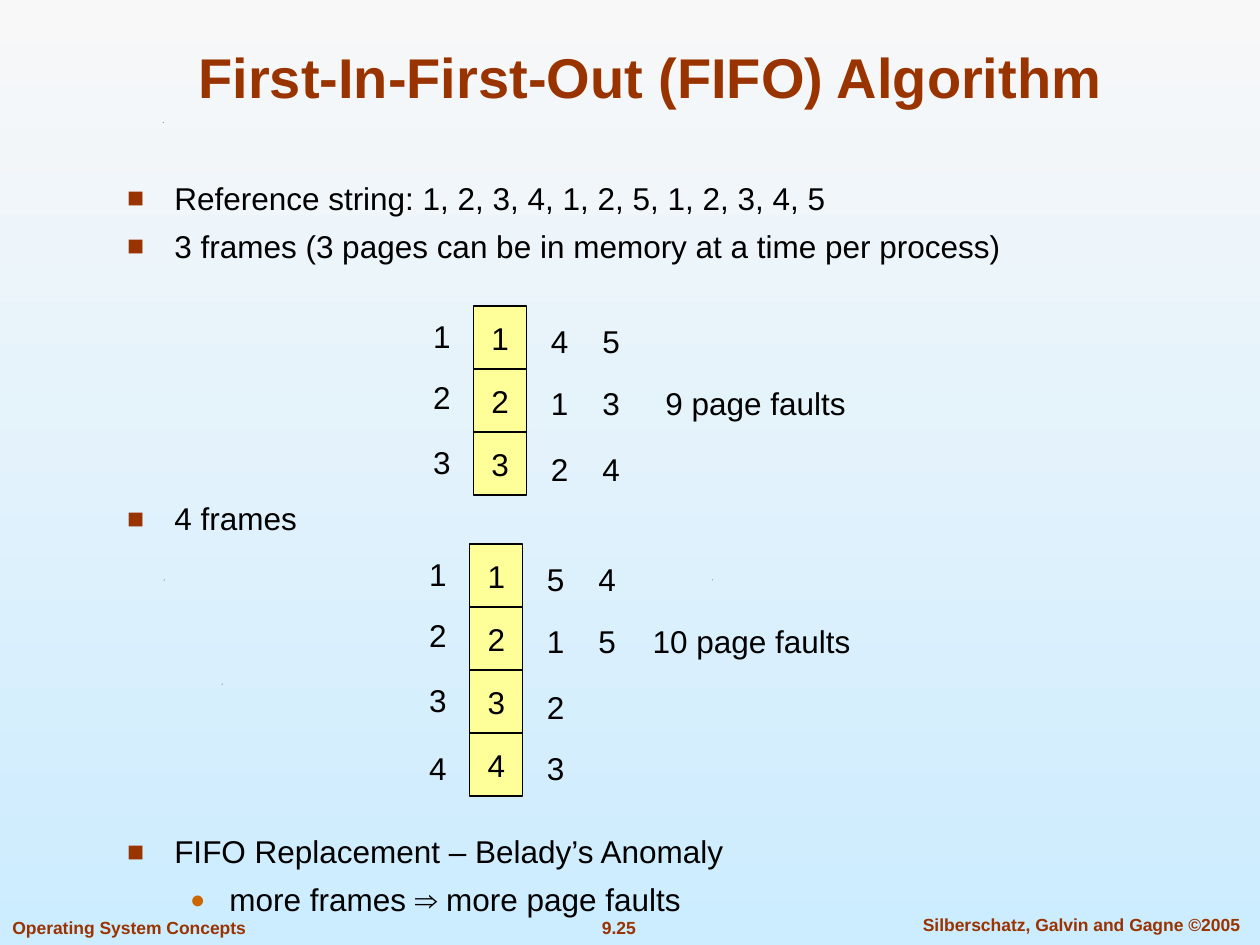
from dataclasses import dataclass

from lxml.etree import SubElement
from pptx import Presentation
from pptx.dml.color import RGBColor
from pptx.enum.shapes import MSO_SHAPE
from pptx.enum.text import MSO_ANCHOR, MSO_AUTO_SIZE, PP_ALIGN
from pptx.oxml.ns import qn
from pptx.util import Cm, Pt


@dataclass(frozen=True)
class Theme:
    font: str = "Arial"
    ink: RGBColor = RGBColor.from_string("000000")
    rust: RGBColor = RGBColor.from_string("993300")
    orange: RGBColor = RGBColor.from_string("CC6600")
    frame: RGBColor = RGBColor.from_string("FFFF99")
    sky_top: RGBColor = RGBColor.from_string("F8F8F8")
    sky_bottom: RGBColor = RGBColor.from_string("CCECFF")
    title_size: int = 32
    body_size: int = 18
    footer_size: int = 10


THEME = Theme()
CELL_WIDTH, CELL_HEIGHT = 1.07, 1.27
LABEL_WIDTH, LABEL_HEIGHT = 0.86, 1.02
REFERENCE_TOPS = (0.1, 1.32, 2.64, 4.01)
REPLACED_TOPS = (0.2, 1.45, 2.77, 4.01)
REFERENCE_LEFT = -1.07
REPLACED_LEFTS = (1.3, 2.34)
FAULTS_CENTRE, FAULTS_WIDTH = 5.68, 4.5


def style(paragraph, size, colour, bold=False, align=None):
    paragraph.alignment = align
    paragraph.font.name = THEME.font
    paragraph.font.size = Pt(size)
    paragraph.font.bold = bold
    paragraph.font.color.rgb = colour


def place(shape, left, top, width, height):
    shape.left, shape.top = Cm(left), Cm(top)
    shape.width, shape.height = Cm(width), Cm(height)


def add_bullet(paragraph, mark, colour, percent, margin, indent):
    properties = paragraph._p.get_or_add_pPr()
    properties.set("marL", str(Cm(margin)))
    properties.set("indent", str(Cm(indent)))
    bullet_colour = SubElement(properties, qn("a:buClr"))
    SubElement(bullet_colour, qn("a:srgbClr"), val=str(colour))
    SubElement(properties, qn("a:buSzPct"), val=str(percent * 1000))
    SubElement(properties, qn("a:buFont"), typeface=THEME.font)
    SubElement(properties, qn("a:buChar"), char=mark)


def add_background(slide):
    fill = slide.background.fill
    fill.gradient()
    fill.gradient_angle = 270
    for stop, colour in zip(fill.gradient_stops, (THEME.sky_top, THEME.sky_bottom)):
        stop.color.rgb = colour


def add_speck(slide, left, top):
    builder = slide.shapes.build_freeform(Cm(left), Cm(top + 0.02))
    builder.add_line_segments([(Cm(left + 0.02), Cm(top)),
                               (Cm(left + 0.01), Cm(top + 0.02))])
    speck = builder.convert_to_shape()
    speck.shadow.inherit = False
    speck.fill.solid()
    speck.fill.fore_color.rgb = THEME.ink
    speck.line.fill.background()


def add_label(slide, text, left, top, width, height=LABEL_HEIGHT,
              size=THEME.body_size, colour=THEME.ink, bold=False,
              align=PP_ALIGN.CENTER):
    label = slide.shapes.add_textbox(Cm(left), Cm(top), Cm(width), Cm(height))
    label.text_frame.word_wrap = False
    label.text_frame.vertical_anchor = MSO_ANCHOR.MIDDLE
    label.text_frame.text = text
    style(label.text_frame.paragraphs[0], size, colour, bold, align)


def add_footer(slide):
    for text, left, top, width, align in (
        ("Operating System Concepts", 0, 18.36, 5.21, PP_ALIGN.LEFT),
        ("9.25", 11.23, 18.36, 2.49, PP_ALIGN.CENTER),
        ("Silberschatz, Galvin and Gagne ©2005", 18.03, 18.29, 7.54, PP_ALIGN.CENTER),
    ):
        add_label(slide, text, left, top, width, 0.69,
                  THEME.footer_size, THEME.rust, True, align)


def fill_title(title, left, top, width, height):
    place(title, left, top, width, height)
    title.text_frame.text = "First-In-First-Out (FIFO) Algorithm"
    title.text_frame.vertical_anchor = MSO_ANCHOR.BOTTOM
    title.text_frame.auto_size = MSO_AUTO_SIZE.NONE
    style(title.text_frame.paragraphs[0], THEME.title_size, THEME.rust, True,
          PP_ALIGN.CENTER)


def fill_body(body, left, top, width, height):
    place(body, left, top, width, height)
    points = (
        ("Reference string: 1, 2, 3, 4, 1, 2, 5, 1, 2, 3, 4, 5", 0, 0),
        ("3 frames (3 pages can be in memory at a time per process)", 0, 7.9),
        ("4 frames", 0, 136.5),
        ("FIFO Replacement – Belady’s Anomaly", 0, 170.8),
        ("more frames ⇒ more page faults", 1, 7.9),
    )
    bullets = (("■", THEME.rust, 90, 0.95, -0.95), ("●", THEME.orange, 80, 2.06, -0.79))
    body.text_frame.text = "\n".join(text for text, _, _ in points)
    body.text_frame.auto_size = MSO_AUTO_SIZE.NONE
    for paragraph, (_, level, gap) in zip(body.text_frame.paragraphs, points):
        paragraph.level = level
        paragraph.line_spacing = 0.9
        paragraph.space_before = Pt(gap)
        add_bullet(paragraph, *bullets[level])
        style(paragraph, THEME.body_size, THEME.ink)


def add_frame(slide, page, left, top):
    frame = slide.shapes.add_shape(MSO_SHAPE.RECTANGLE, Cm(left), Cm(top),
                                   Cm(CELL_WIDTH), Cm(CELL_HEIGHT))
    frame.shadow.inherit = False
    frame.fill.solid()
    frame.fill.fore_color.rgb = THEME.frame
    frame.line.color.rgb = THEME.ink
    frame.line.width = Pt(0.75)
    frame.text_frame.word_wrap = False
    frame.text_frame.vertical_anchor = MSO_ANCHOR.MIDDLE
    frame.text_frame.text = page
    style(frame.text_frame.paragraphs[0], THEME.body_size, THEME.ink,
          align=PP_ALIGN.CENTER)


def add_memory(slide, left, top, frame_count, replacements, faults):
    for row in range(frame_count):
        page = str(row + 1)
        add_frame(slide, page, left, top + row * CELL_HEIGHT)
        add_label(slide, page, left + REFERENCE_LEFT, top + REFERENCE_TOPS[row],
                  LABEL_WIDTH)
    for offset, pages in zip(REPLACED_LEFTS, replacements):
        for page, page_top in zip(pages, REPLACED_TOPS):
            add_label(slide, page, left + offset, top + page_top, LABEL_WIDTH)
    add_label(slide, faults, left + FAULTS_CENTRE - FAULTS_WIDTH / 2,
              top + REPLACED_TOPS[1], FAULTS_WIDTH)


def main():
    deck = Presentation()
    deck.slide_width, deck.slide_height = Cm(25.4), Cm(19.05)
    slide = deck.slides.add_slide(deck.slide_layouts[1])
    add_background(slide)
    for left, top in ((4.47, 13.78), (3.3, 11.68), (14.35, 11.68), (3.28, 2.46)):
        add_speck(slide, left, top)
    add_footer(slide)
    fill_title(slide.shapes.title, 1.9, 0.64, 22.43, 1.7)
    fill_body(slide.placeholders[1], 2.31, 3.56, 19.53, 16)
    add_memory(slide, 9.55, 6.17, 3, ("412", "534"), "9 page faults")
    add_memory(slide, 9.47, 10.97, 4, ("5123", "45"), "10 page faults")
    deck.save("out.pptx")


if __name__ == "__main__":
    main()
